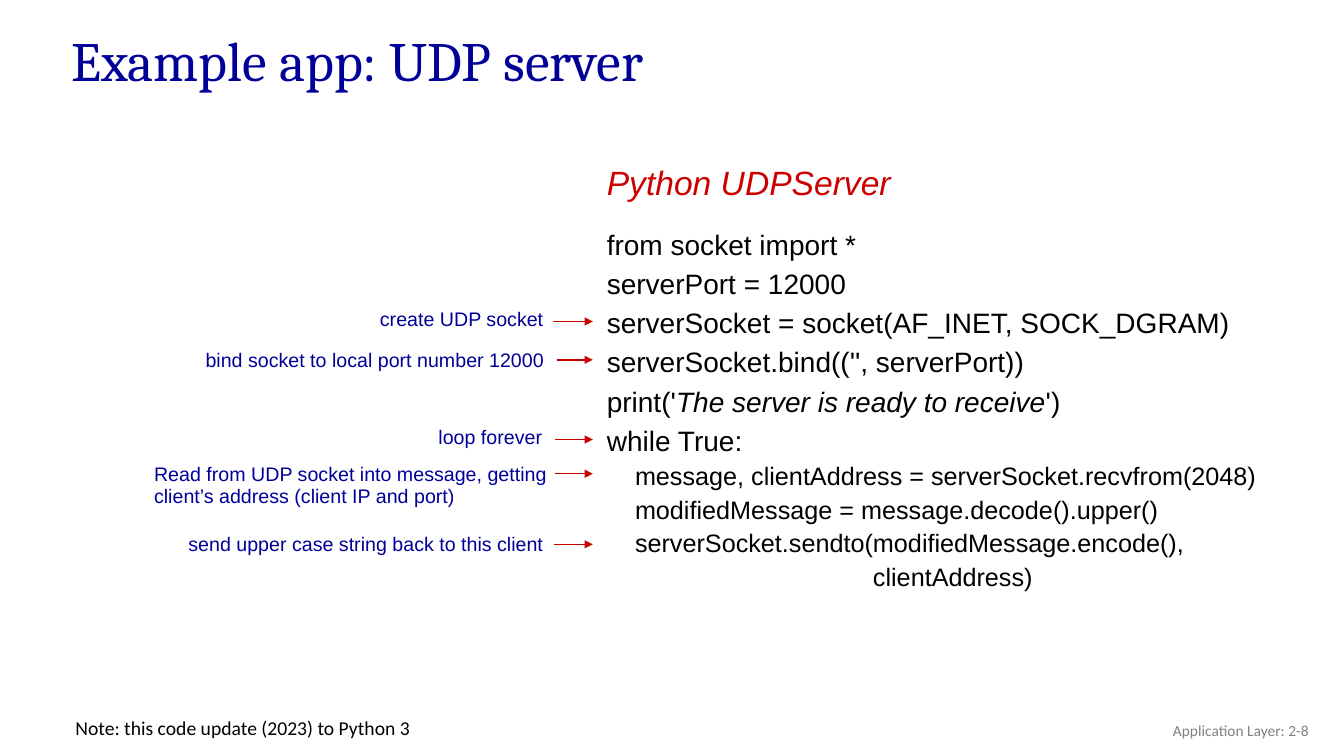
from pptx import Presentation
from pptx import util as u
from pptx.dml.color import RGBColor
from pptx.enum import shapes, text
from pptx.oxml.ns import qn
from lxml import etree

NAVY, RED, BLACK, GRAY = "000099", "CC0000", "000000", "808080"
TOP, MIDDLE = text.MSO_ANCHOR.TOP, text.MSO_ANCHOR.MIDDLE
LEFT, RIGHT = text.PP_ALIGN.LEFT, text.PP_ALIGN.RIGHT


def rgb(value):
    return RGBColor.from_string(value)


def place(sp, box):
    sp.left, sp.top, sp.width, sp.height = (u.Inches(v) for v in box)


def add_run(p, content, size=14, font="Arial", color=BLACK, italic=False):
    r = p.add_run()
    r.text = content
    f = r.font
    f.size, f.name, f.italic = u.Pt(size), font, italic
    f.color.rgb = rgb(color)


def add_text(parent, box, content="", align=LEFT, anchor=TOP, spacing=None, **fmt):
    """Add a wrapping text box and return its text frame."""
    tf = parent.shapes.add_textbox(*(u.Inches(v) for v in box)).text_frame
    tf.word_wrap, tf.vertical_anchor = True, anchor
    p = tf.paragraphs[0]
    p.alignment = align
    if spacing:
        p.line_spacing = u.Pt(spacing)
    if content:
        add_run(p, content, **fmt)
    return tf


def add_arrow(parent, x1, x2, y):
    c = parent.shapes.add_connector(shapes.MSO_CONNECTOR.STRAIGHT,
                                    *(u.Inches(v) for v in (x1, y, x2, y)))
    c.line.color.rgb = rgb(RED)
    c.line.width = u.Pt(1)
    etree.SubElement(c.line._get_or_add_ln(), qn("a:tailEnd"), type="triangle")
    etree.SubElement(c._element.spPr, qn("a:effectLst"))


def add_title(s, box, content):
    sp = s.shapes.title
    place(sp, box)
    tf = sp.text_frame
    tf.margin_left = tf.margin_right = tf.margin_top = tf.margin_bottom = 0
    tf.auto_size, tf.vertical_anchor = text.MSO_AUTO_SIZE.NONE, MIDDLE
    p = tf.paragraphs[0]
    p.alignment = LEFT
    add_run(p, content, size=39.6, font="Cambria", color=NAVY)


def add_code(s, box, lines):
    """Each line is (indent in inches, runs); every second run is italic."""
    tf = add_text(s, box)
    for i, (indent, runs) in enumerate(lines):
        p = tf.add_paragraph() if i else tf.paragraphs[0]
        p.line_spacing = u.Pt(24 if indent else 28)
        if indent:
            p._p.get_or_add_pPr().set("marL", str(u.Inches(indent)))
        for j, content in enumerate(runs):
            add_run(p, content, size=18 if indent else 20, italic=j % 2 == 1)


def add_callout(s, box, content, arrow_x, arrow_y, spacing=None):
    """Group an explanation with the arrow to its line of code."""
    group = s.shapes.add_group_shape()
    add_text(group, box, content, spacing=spacing, color=NAVY)
    add_arrow(group, arrow_x, 5.88, arrow_y)


def build_server_slide(prs):
    s = prs.slides.add_slide(prs.slide_layouts[5])
    add_title(s, (0.71, 0.24, 5.95, 0.69), "Example app: UDP server")

    # Code listing
    add_text(s, (5.92, 1.56, 3.05, 0.5), "Python UDPServer",
             size=24, color=RED, italic=True)
    add_code(s, (5.92, 2.15, 6.7, 3.78), [
        (0, ["from socket import *"]),
        (0, ["serverPort = 12000"]),
        (0, ["serverSocket = socket(AF_INET, SOCK_DGRAM)"]),
        (0, ["serverSocket.bind(('', serverPort))"]),
        (0, ["print('", "The server is ready to receive", "')"]),
        (0, ["while True:"]),
        (0.28, ["message, clientAddress = serverSocket.recvfrom(2048)"]),
        (0.28, ["modifiedMessage = message.decode().upper()"]),
        (0.28, ["serverSocket.sendto(modifiedMessage.encode(),"]),
        (2.64, ["clientAddress)"]),
    ])

    # Explanations beside the code
    for box, content, arrow_x, arrow_y, spacing in [
        ((3.67, 3, 2.8, 0.34), "create UDP socket", 5.48, 3.19, None),
        ((1.94, 3.4, 3.94, 0.34), "bind socket to local port number 12000",
         5.52, 3.57, None),
        ((4.25, 4.18, 1.31, 0.33), "loop forever", 5.5, 4.36, 16),
        ((1.43, 4.54, 4.2, 0.55), "Read from UDP socket into message, getting "
         "client’s address (client IP and port)", 5.5, 4.7, 16),
        ((1.77, 5.23, 4.2, 0.34), "send upper case string back to this client",
         5.49, 5.4, None),
    ]:
        add_callout(s, box, content, arrow_x, arrow_y, spacing)

    # Footer
    add_text(s, (10.08, 7.05, 3, 0.4), "Application Layer: 2-8", align=RIGHT,
             anchor=MIDDLE, size=11, font="Calibri", color=GRAY)
    add_text(s, (0.65, 7.05, 3.56, 0.34),
             "Note: this code update (2023) to Python 3", font="Calibri")


def main():
    prs = Presentation()
    prs.slide_width, prs.slide_height = u.Inches(13.33), u.Inches(7.5)
    build_server_slide(prs)
    prs.save("out.pptx")


if __name__ == "__main__":
    main()
